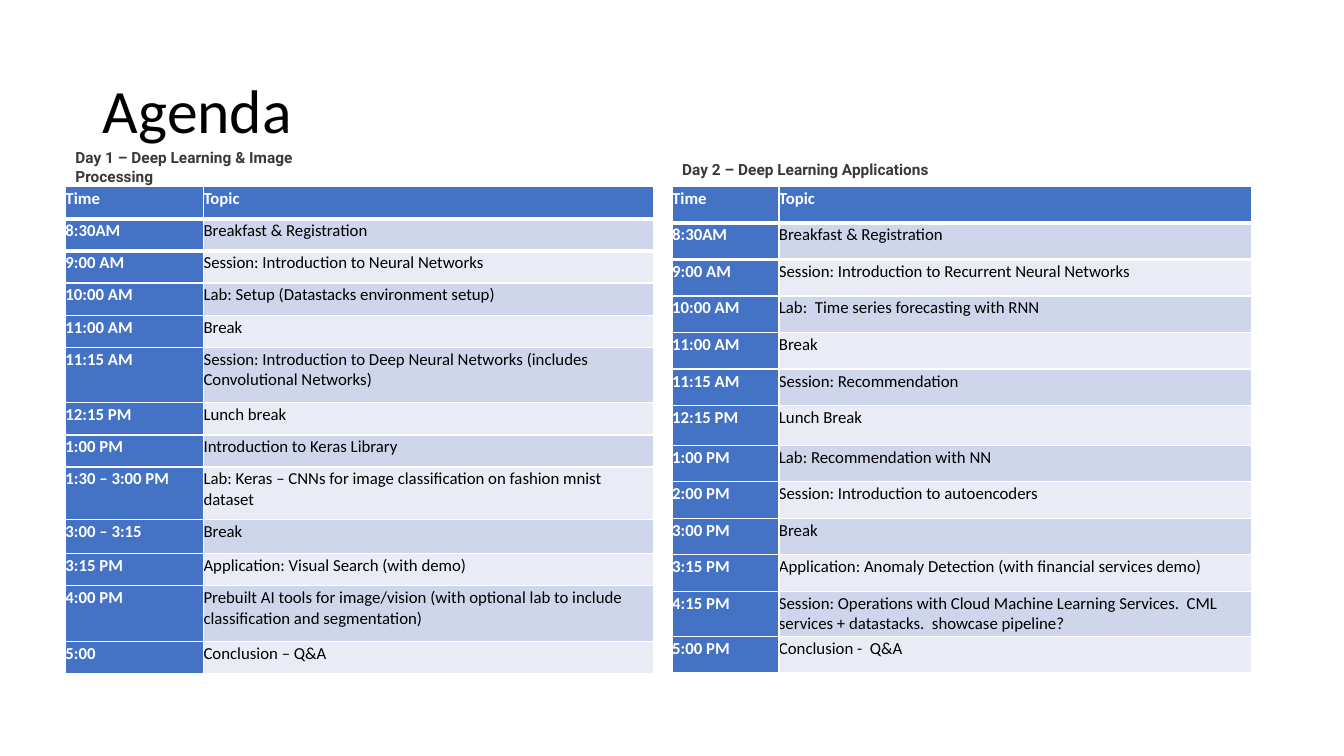
"""Build the two-day agenda slide with one timetable for each day."""
import dataclasses
import typing

import lxml.etree
import pptx
import pptx.dml.color
import pptx.enum.text
import pptx.oxml.ns
import pptx.util

Cm = pptx.util.Cm


@dataclasses.dataclass(frozen=True)
class Theme:
    white: str = "FFFFFF"
    black: str = "000000"
    grey: str = "3B3838"
    blue: str = "4472C4"
    bands: tuple[str, str] = ("E9EBF5", "CFD5EA")
    body: str = "Calibri"
    label: str = "Roboto"
    big: int = 44
    mid: int = 12
    small: int = 11
    rule: int = 3


class Slot(typing.NamedTuple):
    time: str
    topic: str
    height: float | None = None


class Day(typing.NamedTuple):
    name: str
    left: float
    top: float
    width: float
    cols: tuple[float, float]
    height: float
    slots: list[Slot]


THEME = Theme()
TABLE_TOP = 4.7
HEAD = Slot("Time", "Topic")

DAYS = [
    Day("Day 1 – Deep Learning & Image Processing", 1.65, 3.84, 7.72, (3.48, 11.33), 0.81, [
        HEAD,
        Slot("8:30AM", "Breakfast & Registration"),
        Slot("9:00 AM", "Session: Introduction to Neural Networks"),
        Slot("10:00 AM", "Lab: Setup (Datastacks environment setup)"),
        Slot("11:00 AM", "Break"),
        Slot("11:15 AM", "Session: Introduction to Deep Neural Networks "
             "(includes Convolutional Networks)", 1.4),
        Slot("12:15 PM", "Lunch break"),
        Slot("1:00 PM", "Introduction to Keras Library"),
        Slot("1:30 – 3:00 PM", "Lab: Keras – CNNs for image classification "
             "on fashion mnist dataset", 1.32),
        Slot("3:00 – 3:15", "Break", 0.86),
        Slot("3:15 PM", "Application: Visual Search (with demo)"),
        Slot("4:00 PM", "Prebuilt AI tools for image/vision (with optional lab "
             "to include classification and segmentation)", 1.4),
        Slot("5:00", "Conclusion – Q&A"),
    ]),
    Day("Day 2 – Deep Learning Applications", 16.94, 3.89, 14.6, (2.69, 11.91), 0.92, [
        HEAD,
        Slot("8:30AM", "Breakfast & Registration"),
        Slot("9:00 AM", "Session: Introduction to Recurrent Neural Networks"),
        Slot("10:00 AM", "Lab:\u202f Time series forecasting with RNN"),
        Slot("11:00 AM", "Break"),
        Slot("11:15 AM", "Session: Recommendation"),
        Slot("12:15 PM", "Lunch Break", 1.0),
        Slot("1:00 PM", "Lab: Recommendation with NN"),
        Slot("2:00 PM", "Session: Introduction to autoencoders"),
        Slot("3:00 PM", "Break"),
        Slot("3:15 PM", "Application: Anomaly Detection (with financial services demo)"),
        Slot("4:15 PM", "Session: Operations with Cloud Machine Learning Services.\u00a0 "
             "CML services +\u00a0datastacks.\u00a0 showcase pipeline?", 1.14),
        Slot("5:00 PM", "Conclusion -\u202f Q&A"),
    ]),
]


def paint(code: str) -> pptx.dml.color.RGBColor:
    return pptx.dml.color.RGBColor.from_string(code)


def write(frame, text: str, *, size: int, color: str, face: str = THEME.body,
          bold: bool = False, space: float | None = None) -> None:
    para = frame.paragraphs[0]
    para.alignment = pptx.enum.text.PP_ALIGN.LEFT
    para.line_spacing = space
    run = para.add_run()
    run.text = text
    run.font.size = pptx.util.Pt(size)
    run.font.name = face
    run.font.bold = bold
    run.font.color.rgb = paint(color)


def center(frame) -> None:
    frame.word_wrap = True
    frame.auto_size = pptx.enum.text.MSO_AUTO_SIZE.NONE
    frame.vertical_anchor = pptx.enum.text.MSO_ANCHOR.MIDDLE


def draw_title(slide, text: str) -> None:
    title = slide.shapes.title
    title.left, title.top, title.width, title.height = Cm(2.34), Cm(1.02), Cm(29.2), Cm(3.68)
    center(title.text_frame)
    write(title.text_frame, text, size=THEME.big, color=THEME.black, space=0.9)


def draw_label(slide, day: Day) -> None:
    box = slide.shapes.add_textbox(Cm(day.left), Cm(day.top), Cm(day.width), Cm(0.74))
    center(box.text_frame)
    write(box.text_frame, day.name, size=THEME.small, color=THEME.grey,
          face=THEME.label, bold=True)


def draw_rule(cell, side: str) -> None:
    name = pptx.oxml.ns.qn
    line = lxml.etree.Element(name(side), w=str(pptx.util.Pt(THEME.rule)))
    fill = lxml.etree.SubElement(line, name("a:solidFill"))
    lxml.etree.SubElement(fill, name("a:srgbClr"), val=THEME.white)
    cell._tc.get_or_add_tcPr().insert(0, line)


def draw_cell(cell, text: str, strong: bool, band: str) -> None:
    cell.margin_left = cell.margin_right = 0
    cell.margin_top = cell.margin_bottom = Cm(0.05)
    cell.fill.solid()
    cell.fill.fore_color.rgb = paint(THEME.blue if strong else band)
    write(cell.text_frame, text, size=THEME.mid, bold=strong,
          color=THEME.white if strong else THEME.black)


def draw_table(slide, day: Day) -> None:
    tall = [slot.height or day.height for slot in day.slots]
    table = slide.shapes.add_table(
        len(tall), len(day.cols), Cm(day.left), Cm(TABLE_TOP),
        Cm(sum(day.cols)), Cm(sum(tall))).table
    table.first_col = True
    for col, width in zip(table.columns, day.cols):
        col.width = Cm(width)
    for row, slot in enumerate(day.slots):
        table.rows[row].height = Cm(tall[row])
        for col, text in enumerate((slot.time, slot.topic)):
            draw_cell(table.cell(row, col), text, row == 0 or col == 0, THEME.bands[row % 2])
    for col in range(len(day.cols)):
        draw_rule(table.cell(0, col), "a:lnB")
        draw_rule(table.cell(1, col), "a:lnT")


def main() -> None:
    deck = pptx.Presentation()
    deck.slide_width, deck.slide_height = Cm(33.87), Cm(19.05)
    slide = deck.slides.add_slide(deck.slide_layouts.get_by_name("Title Only"))
    draw_title(slide, "Agenda")
    for day in DAYS:
        draw_label(slide, day)
        draw_table(slide, day)
    deck.save("out.pptx")


main()
